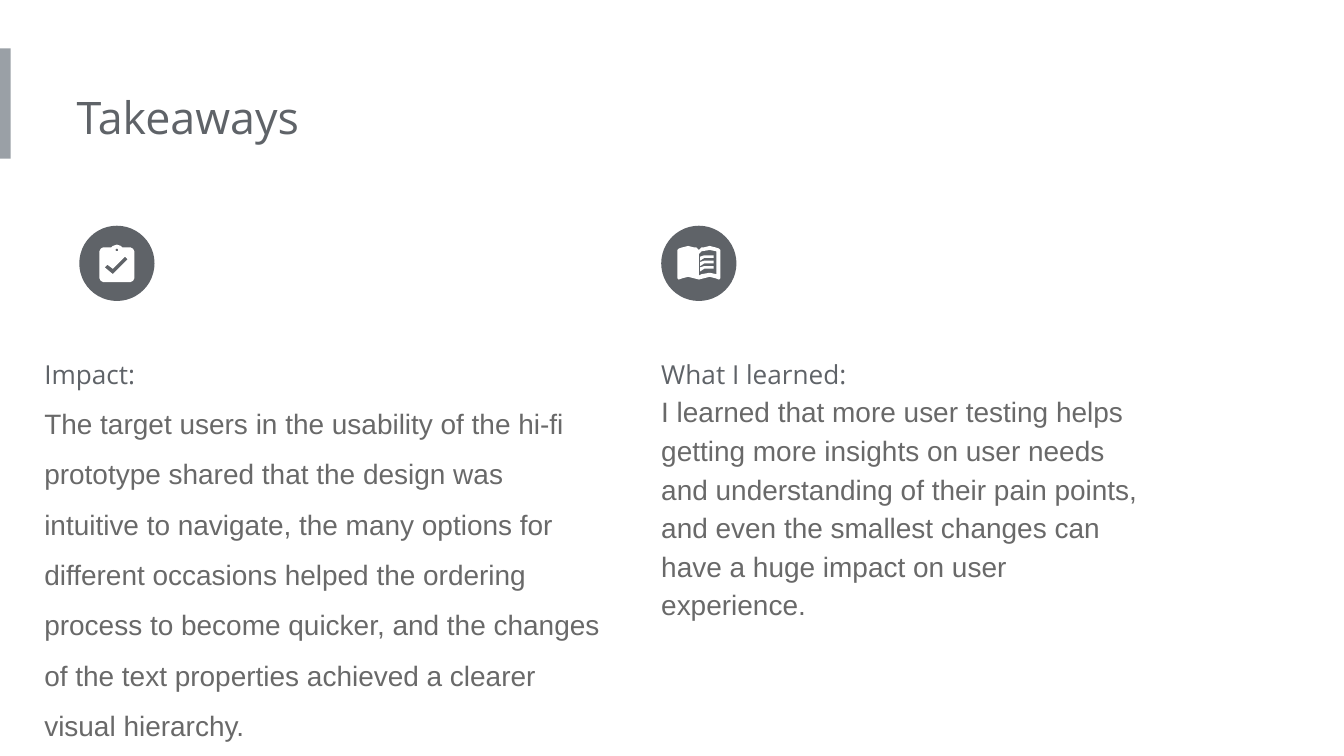
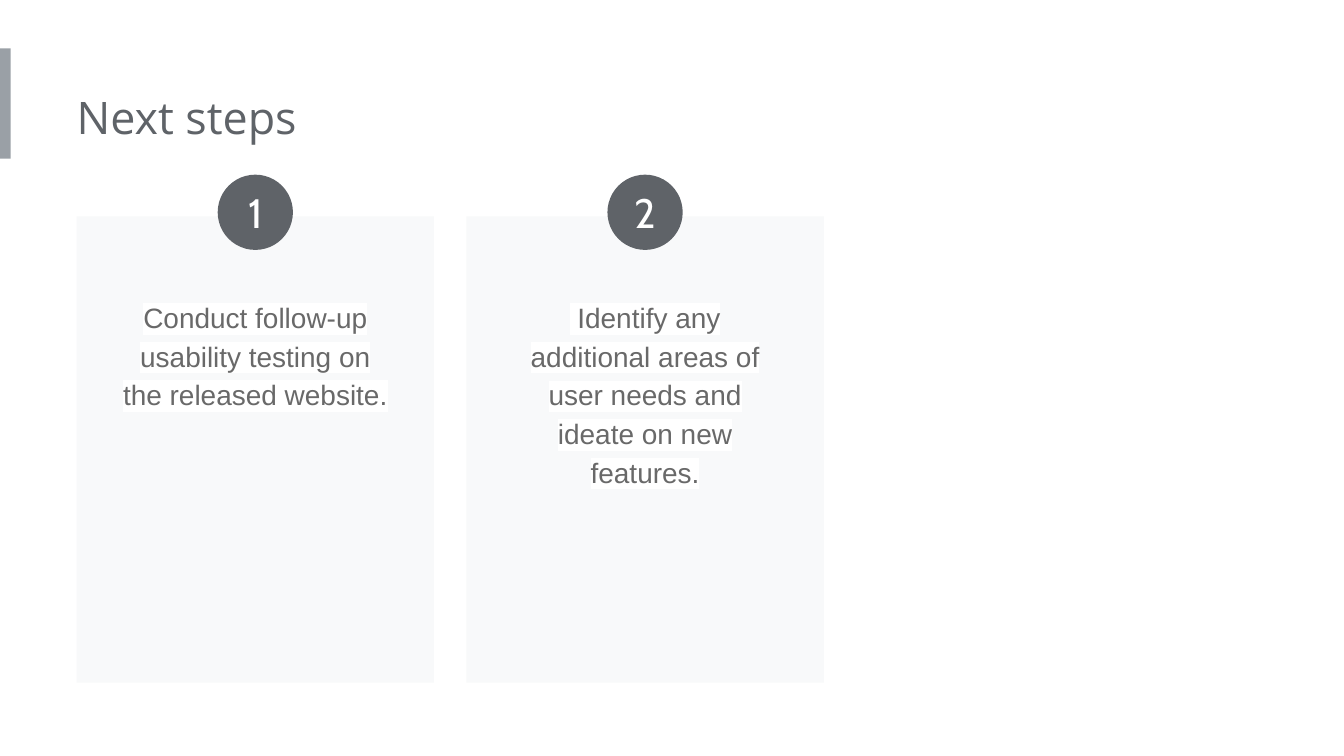
"""Build the takeaways and next steps slides of a case study."""
from dataclasses import dataclass
from math import cos, pi, sin

from lxml.etree import Element, SubElement
from pptx import Presentation
from pptx.dml.color import RGBColor as RGB
from pptx.enum.shapes import MSO_SHAPE as SHAPE
from pptx.enum.text import MSO_ANCHOR as ANCHOR, MSO_AUTO_SIZE as FIT, PP_ALIGN as ALIGN
from pptx.oxml.ns import qn
from pptx.util import Inches, Pt


@dataclass(frozen=True)
class Theme:
    dark: str = "5F6368"
    body: str = "696969"
    bar: str = "9AA0A6"
    card: str = "F8F9FA"
    white: str = "FFFFFF"
    head_font: str = "Open Sans"
    body_font: str = "Arial"
    number_font: str = "Cabin"
    title_size: int = 24
    number_size: int = 22
    body_size: int = 15
    label_size: int = 14


T = Theme()
BADGE = 0.56
BADGE_TOP = 1.68
INSETS = (0, 0.1, 0.1, 0.1)


def ring(cx, cy, radius, count=12):
    turns = [2 * pi * i / count for i in range(count)]
    return [(cx + radius * cos(a), cy + radius * sin(a)) for a in turns]


CLIPBOARD = [[
    [(0.97, 1.84), (0.91, 1.84), (0.9, 1.83), (0.87, 1.82), (0.84, 1.83),
     (0.83, 1.84), (0.77, 1.84), (0.75, 1.85), (0.74, 1.87), (0.74, 2.07),
     (0.75, 2.09), (0.77, 2.1), (0.97, 2.1), (0.99, 2.09), (1, 2.07),
     (1, 1.87), (0.99, 1.85)],
    ring(0.87, 1.86, 0.01),
    [(0.84, 2.04), (0.78, 1.99), (0.8, 1.97), (0.84, 2), (0.93, 1.91), (0.95, 1.93)],
]]

BOOK = [[
    [(5.04, 1.86), (5.05, 1.85), (5.08, 1.84), (5.12, 1.83), (5.16, 1.84),
     (5.18, 1.84), (5.2, 1.86), (5.22, 1.84), (5.24, 1.84), (5.28, 1.83),
     (5.32, 1.84), (5.35, 1.85), (5.36, 1.86), (5.36, 2.07), (5.35, 2.08),
     (5.32, 2.07), (5.28, 2.06), (5.24, 2.07), (5.2, 2.08), (5.16, 2.07),
     (5.12, 2.06), (5.08, 2.07), (5.05, 2.08), (5.04, 2.07)],
    [(5.2, 1.89), (5.22, 1.87), (5.28, 1.86), (5.33, 1.87), (5.33, 2.04),
     (5.28, 2.03), (5.22, 2.04), (5.2, 2.05)],
]] + [[
    [(5.21, y + 0.01), (5.24, y), (5.28, y), (5.31, y), (5.31, y + 0.02),
     (5.28, y + 0.02), (5.24, y + 0.02), (5.21, y + 0.04)],
] for y in (1.9, 1.94, 1.98)]

TAKEAWAYS = [
    dict(label="Impact:", box=(0.33, 2.45, 4.26, 3.08), badge=0.59, icon=CLIPBOARD,
         spacing=1.5, highlight=T.white,
         text="The target users in the usability of the hi-fi prototype shared that "
              "the design was intuitive to navigate, the many options for different "
              "occasions helped the ordering process to become quicker, and the "
              "changes of the text properties achieved a clearer visual hierarchy."),
    dict(label="What I learned:", box=(4.92, 2.45, 3.77, 2.79), badge=4.92, icon=BOOK,
         spacing=1.15, highlight=None,
         text="I learned that more user testing helps getting more insights on user "
              "needs and understanding of their pain points, and even the smallest "
              "changes can have a huge impact on user experience."),
]

STEPS = [
    ("Conduct follow-up usability testing on the released website.", 1.04),
    (" Identify any additional areas of user needs and ideate on new features.", 1.62),
]
CARD_LEFT, CARD_TOP, CARD_W, CARD_H, CARD_GAP = 0.57, 1.61, 2.66, 3.47, 0.24
STEP_W, STEP_TOP, NUMBER_TOP = 2.24, 2.1, 1.3


def write(tf, text, *, size, font=T.body_font, color=T.body, align=None,
          spacing=None, highlight=None, first=True):
    p = tf.paragraphs[0] if first else tf.add_paragraph()
    p.alignment = align
    p.line_spacing = spacing
    r = p.add_run()
    r.text = text
    r.font.size = Pt(size)
    r.font.name = font
    r.font.color.rgb = RGB.from_string(color)
    if highlight:
        mark = Element(qn("a:highlight"))
        SubElement(mark, qn("a:srgbClr")).set("val", highlight)
        r.font._element.find(qn("a:solidFill")).addnext(mark)


def set_frame(tf, insets):
    tf.word_wrap = True
    tf.margin_left, tf.margin_top, tf.margin_right, tf.margin_bottom = map(Inches, insets)
    return tf


def add_text_box(s, box, insets=INSETS):
    tf = set_frame(s.shapes.add_textbox(*map(Inches, box)).text_frame, insets)
    tf.auto_size = FIT.SHAPE_TO_FIT_TEXT
    return tf


def paint(sp, color):
    sp.shadow.inherit = False
    sp.fill.solid()
    sp.fill.fore_color.rgb = RGB.from_string(color)
    sp.line.fill.background()
    return sp


def add_block(s, kind, box, color):
    return paint(s.shapes.add_shape(kind, *map(Inches, box)), color)


def add_badge(s, left, top):
    return add_block(s, SHAPE.OVAL, (left, top, BADGE, BADGE), T.dark)


def add_icon(s, outlines):
    for contours in outlines:
        contours = [[(Inches(x), Inches(y)) for x, y in c] for c in contours]
        outer, *holes = contours
        fb = s.shapes.build_freeform(*outer[0])
        fb.add_line_segments(outer[1:], close=True)
        for hole in holes:
            fb.move_to(*hole[0])
            fb.add_line_segments(hole[1:], close=True)
        paint(fb.convert_to_shape(), T.white)


def add_slide(prs, title):
    s = prs.slides.add_slide(prs.slide_layouts[6])
    add_block(s, SHAPE.RECTANGLE, (0, 0.36, 0.08, 0.82), T.bar)
    tf = add_text_box(s, (0.57, 0.57, 5.39, 0.61))
    write(tf, title, size=T.title_size, font=T.head_font, color=T.dark)
    return s


def build_takeaways(prs):
    s = add_slide(prs, "Takeaways")
    for item in TAKEAWAYS:
        tf = add_text_box(s, item["box"])
        write(tf, item["label"], size=T.label_size, font=T.head_font,
              color=T.dark, spacing=1.5)
        write(tf, item["text"], size=T.body_size, spacing=item["spacing"],
              highlight=item["highlight"], first=False)
        add_badge(s, item["badge"], BADGE_TOP)
        add_icon(s, item["icon"])


def build_next_steps(prs):
    s = add_slide(prs, "Next steps")
    for i, (text, height) in enumerate(STEPS):
        left = CARD_LEFT + i * (CARD_W + CARD_GAP)
        center = left + CARD_W / 2
        add_block(s, SHAPE.RECTANGLE, (left, CARD_TOP, CARD_W, CARD_H), T.card)
        tf = add_text_box(s, (center - STEP_W / 2, STEP_TOP, STEP_W, height), (0.1,) * 4)
        write(tf, text, size=T.body_size, align=ALIGN.CENTER, spacing=1.15,
              highlight=T.white)
        badge = add_badge(s, center - BADGE / 2, NUMBER_TOP)
        tf = set_frame(badge.text_frame, (0,) * 4)
        tf.vertical_anchor = ANCHOR.MIDDLE
        write(tf, str(i + 1), size=T.number_size, font=T.number_font,
              color=T.white, align=ALIGN.CENTER)


def main():
    prs = Presentation()
    prs.slide_width = Inches(10)
    prs.slide_height = Inches(10 * 9 / 16)
    build_takeaways(prs)
    build_next_steps(prs)
    prs.save("out.pptx")


if __name__ == "__main__":
    main()
